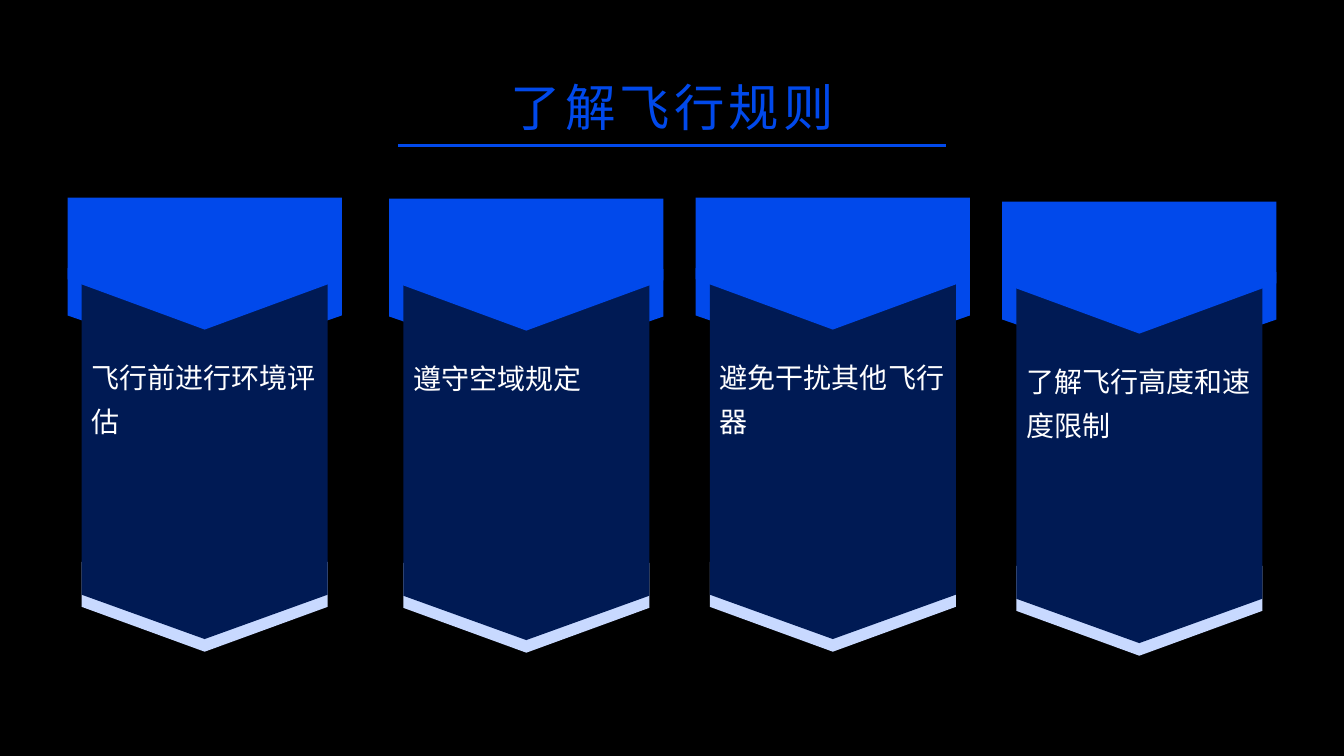
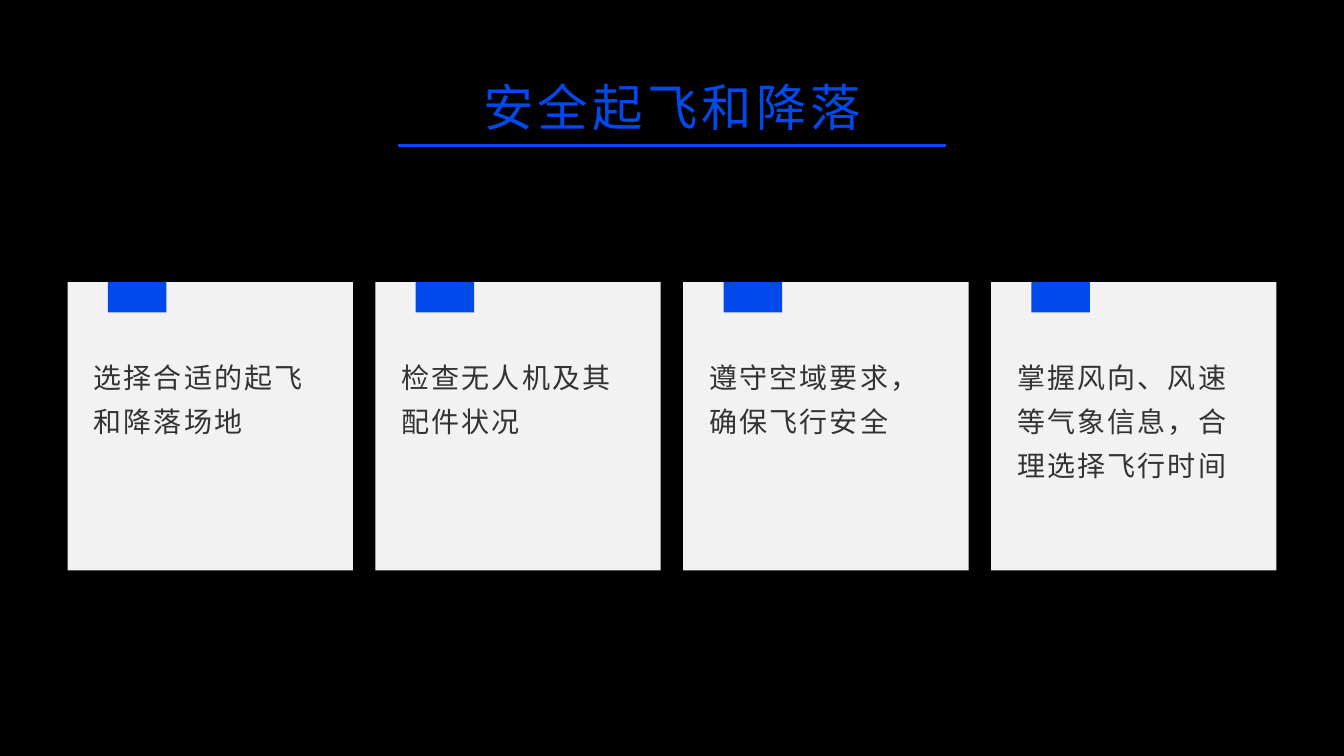
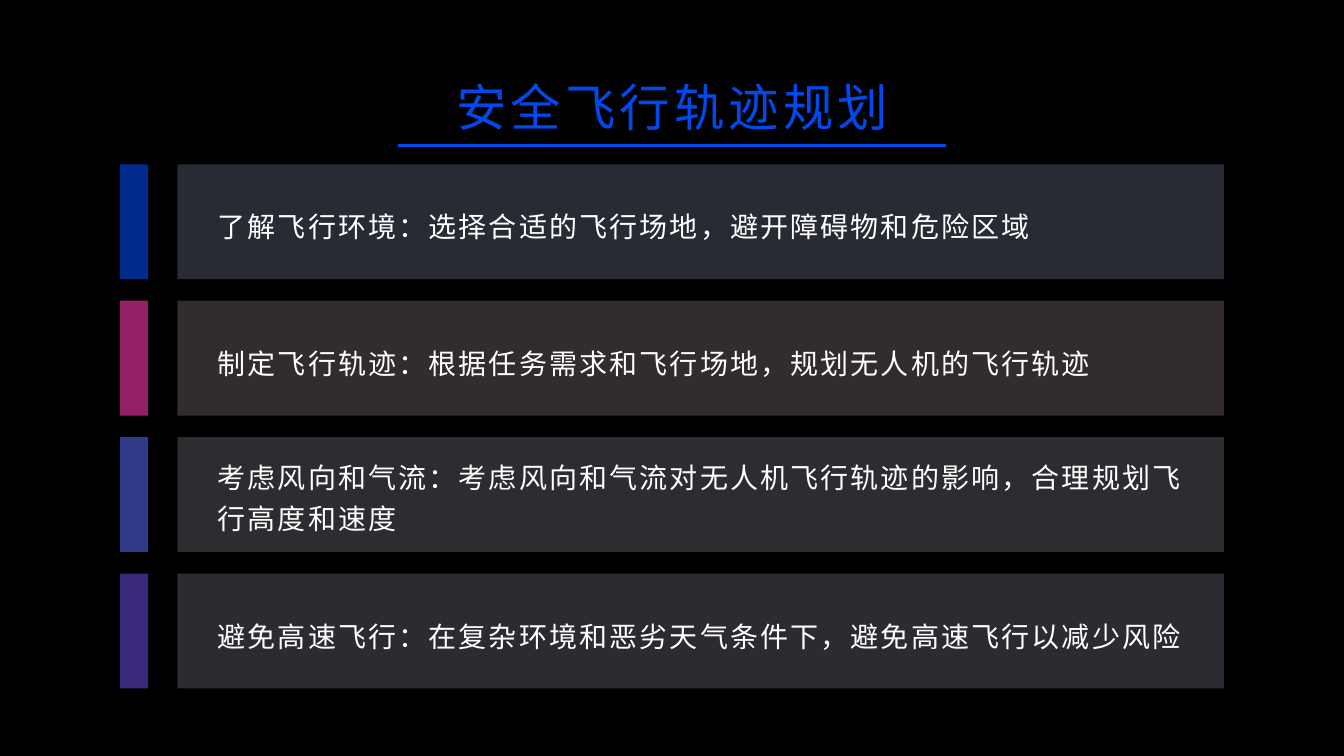
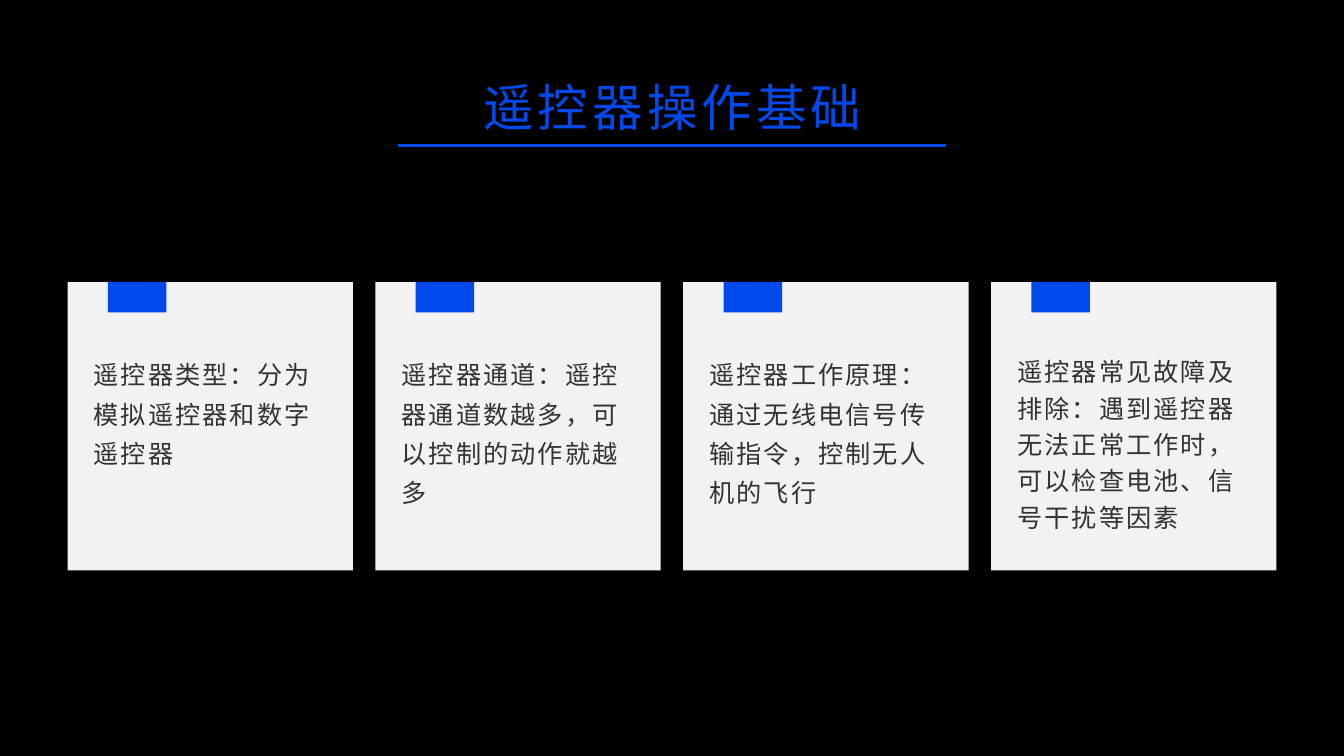
import pptx
import pptx.util
import pptx.dml.color
import pptx.enum.shapes
import pptx.enum.text
import pptx.oxml.ns
import lxml.etree

Inches = pptx.util.Inches
Kind = pptx.enum.shapes.MSO_SHAPE
Align = pptx.enum.text.PP_ALIGN
Anchor = pptx.enum.text.MSO_ANCHOR
qn = pptx.oxml.ns.qn


class Theme:
    font = "Roboto"
    back = "000000"
    blue = "0149EB"
    navy = "001A54"
    pale = "C8D9FF"
    card = "F2F2F2"
    ink = "333333"
    white = "FFFFFF"
    rows = [("C8D9FF", "0149EB"), ("FDD8EE", "F43AA9"),
            ("DDE0F9", "5364E3"), ("E0D9F6", "6243D1")]
    head = 36
    body = 20
    small = 18


def paint(shape, color, alpha=None):
    shape.shadow.inherit = False
    shape.line.fill.background()
    shape.fill.solid()
    shape.fill.fore_color.rgb = pptx.dml.color.RGBColor.from_string(color)
    if alpha:
        tint = shape.element.spPr.find(".//" + qn("a:srgbClr"))
        lxml.etree.SubElement(tint, qn("a:alpha"), val=str(alpha * 1000))


def write(shape, text, size, color, track=0, lead=1.3, anchor=Anchor.TOP):
    frame = shape.text_frame
    frame.word_wrap = True
    frame.auto_size = pptx.enum.text.MSO_AUTO_SIZE.NONE
    frame.vertical_anchor = anchor
    para = frame.paragraphs[0]
    para.text = text
    para.line_spacing = lead
    font = para.font
    font.name = Theme.font
    font.size = pptx.util.Pt(size)
    font.color.rgb = pptx.dml.color.RGBColor.from_string(color)
    font._rPr.set("spc", str(int(track * 100)))
    return para


deck = pptx.Presentation()
deck.slide_width = Inches(13.33)
deck.slide_height = Inches(7.5)

layout = deck.slide_layouts[5]
layout.background.fill.solid()
layout.background.fill.fore_color.rgb = pptx.dml.color.RGBColor.from_string(Theme.back)
title = layout.placeholders[0]
title.left, title.top = Inches(0.67), Inches(0.67)
title.width, title.height = Inches(12), Inches(0.77)

slides = []
for text in ["了解飞行规则", "安全起飞和降落", "安全飞行轨迹规划", "遥控器操作基础"]:
    slide = deck.slides.add_slide(layout)
    para = write(slide.shapes.title, text, Theme.head, Theme.blue, 3, 1, Anchor.MIDDLE)
    para.alignment = Align.CENTER
    slides.append(slide)

rule = slides[0].shapes.add_connector(
    pptx.enum.shapes.MSO_CONNECTOR.STRAIGHT,
    Inches(3.95), Inches(1.44), Inches(9.38), Inches(1.44))
rule.line.width = pptx.util.Pt(2)
rule.line.color.rgb = pptx.dml.color.RGBColor.from_string(Theme.blue)
lxml.etree.SubElement(rule.element.spPr, qn("a:effectLst"))
rule.element.xpath(".//p:cNvPr")[0].set("id", "20")
layout.shapes.element.insert_element_before(rule.element, "p:extLst")

shapes = slides[0].shapes
banners = [
    (0.67, 1.96, "飞行前进行环境评估"),
    (3.86, 1.97, "遵守空域规定"),
    (6.9, 1.96, "避免干扰其他飞行器"),
    (9.94, 2, "了解飞行高度和速度限制"),
]
for left, top, text in banners:
    mid = left + 1.36
    for down, wide, high, color in [(1.17, 2.72, 0.94, Theme.blue),
                                    (4.06, 2.44, 0.89, Theme.pale)]:
        plate = shapes.add_shape(
            Kind.PENTAGON, Inches(mid - high / 2), Inches(top + down - wide / 2),
            Inches(high), Inches(wide))
        plate.width, plate.height = Inches(high), Inches(wide)
        plate.left = Inches(mid - high / 2)
        plate.rotation = 90
        plate.width, plate.height = Inches(high), Inches(wide)
        paint(plate, color)
    for start, side, tip, half, color in [(0.7, 3.94, 4.38, 1.22, Theme.navy),
                                          (0, 0.81, 1.31, 1.36, Theme.blue)]:
        flag = shapes.build_freeform(Inches(mid - half), Inches(top + start))
        flag.add_line_segments([
            (Inches(mid + half), Inches(top + start)),
            (Inches(mid + half), Inches(top + side)),
            (Inches(mid), Inches(top + tip)),
            (Inches(mid - half), Inches(top + side))])
        paint(flag.convert_to_shape(), color)
    label = shapes.add_textbox(
        Inches(left + 0.14), Inches(top + 1.47), Inches(2.44), Inches(2.2))
    write(label, text, Theme.body, Theme.white)

decks = [
    (slides[1], Theme.body, [
        ("选择合适的起飞和降落场地", 1.3),
        ("检查无人机及其配件状况", 1.3),
        ("遵守空域要求，确保飞行安全", 1.3),
        ("掌握风向、风速等气象信息，合理选择飞行时间", 1.3)]),
    (slides[3], Theme.small, [
        ("遥控器类型：分为模拟遥控器和数字遥控器", 1.3),
        ("遥控器通道：遥控器通道数越多，可以控制的动作就越多", 1.3),
        ("遥控器工作原理：通过无线电信号传输指令，控制无人机的飞行", 1.3),
        ("遥控器常见故障及排除：遇到遥控器无法正常工作时，可以检查电池、信号干扰等因素", 1.2)]),
]
step = (9.83 - 0.67) / 3
for slide, size, cards in decks:
    for i, (text, lead) in enumerate(cards):
        left = 0.67 + i * step
        for shift, wide, high, color in [(0, 2.83, 2.86, Theme.card),
                                         (0.4, 0.58, 0.3, Theme.blue)]:
            paint(slide.shapes.add_shape(
                Kind.RECTANGLE, Inches(left + shift), Inches(2.8),
                Inches(wide), Inches(high)), color)
        label = slide.shapes.add_textbox(
            Inches(left + 0.16), Inches(3.43), Inches(2.49), Inches(2.01))
        write(label, text, size, Theme.ink, 1.5, lead)

shapes = slides[2].shapes
rows = [
    ("了解飞行环境：选择合适的飞行场地，避开障碍物和危险区域", 1.3),
    ("制定飞行轨迹：根据任务需求和飞行场地，规划无人机的飞行轨迹", 1.3),
    ("考虑风向和气流：考虑风向和气流对无人机飞行轨迹的影响，合理规划飞行高度和速度", 1.2),
    ("避免高速飞行：在复杂环境和恶劣天气条件下，避免高速飞行以减少风险", 1.3),
]
step = (5.69 - 1.63) / 3
for i, ((text, lead), (pale, deep)) in enumerate(zip(rows, Theme.rows)):
    top = 1.63 + i * step
    for left, wide, color, alpha in [(1.76, 10.38, pale, 20), (1.19, 0.28, deep, 60)]:
        paint(shapes.add_shape(
            Kind.RECTANGLE, Inches(left), Inches(top),
            Inches(wide), Inches(1.14)), color, alpha)
    label = shapes.add_textbox(
        Inches(2.06), Inches(top + 0.1), Inches(9.93), Inches(0.94))
    write(label, text, Theme.body, Theme.white, 1.5, lead, Anchor.MIDDLE)

deck.save("out.pptx")
